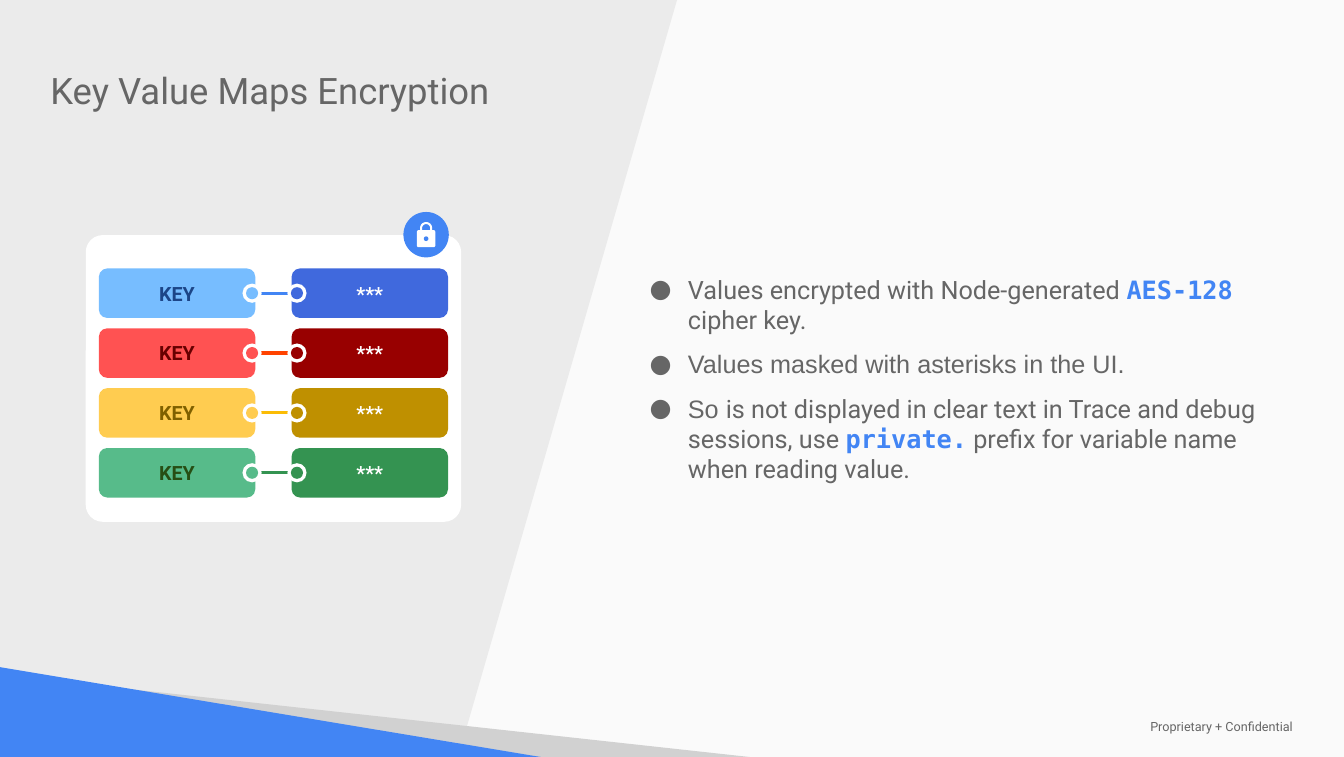
from dataclasses import dataclass
from math import cos, pi, sin
from typing import Any, NamedTuple

from lxml.etree import SubElement
from pptx import Presentation
from pptx.dml.color import RGBColor
from pptx.enum.shapes import MSO_CONNECTOR as Connector, MSO_SHAPE as Preset
from pptx.enum.text import MSO_ANCHOR as Anchor, PP_ALIGN as Align
from pptx.oxml.ns import qn
from pptx.util import Emu, Inches, Pt

COLUMNS, ROWS = 133.2, 75
CELL = Inches(0.1)

COLORS = {
    "paper": "FAFAFA", "panel": "EBEBEB", "shade": "D1D1D1", "accent": "4285F4",
    "text": "666666", "white": "FFFFFF",
    "sky": "77BDFF", "royal": "4069DD", "navy": "1C4587",
    "coral": "FF5252", "crimson": "980000", "maroon": "660000", "orange": "FF4300",
    "amber": "FFCC50", "ochre": "BF9000", "olive": "7F6000", "yellow": "FBBC05",
    "mint": "57BB8A", "green": "349351", "forest": "274E13",
}


class Box(NamedTuple):
    left: float
    top: float
    width: float
    height: float


class Span(NamedTuple):
    text: str
    size: float = 18
    font: str = "Roboto"
    color: str = "text"
    bold: bool = False


class Outline(NamedTuple):
    color: str
    points: list[tuple[float, float]]


@dataclass
class Pair:
    key_fill: str
    value_fill: str
    key_text: str
    link: str


BACKDROP = [
    Outline("panel", [(67.1, 0), (0, 0), (0, ROWS), (45.4, ROWS)]),
    Outline("shade", [(11.3, 68.1), (74.3, ROWS), (53.4, ROWS)]),
    Outline("accent", [(0, 66.1), (0, ROWS), (53.6, ROWS)]),
]
PAIRS = [
    Pair("sky", "royal", "navy", "accent"),
    Pair("coral", "crimson", "maroon", "orange"),
    Pair("amber", "ochre", "olive", "yellow"),
    Pair("mint", "green", "forest", "green"),
]
BULLETS = [
    [Span("Values encrypted with Node-generated "),
     Span("AES-128", 18, "DejaVu Sans Mono", "accent", True),
     Span(" cipher key.")],
    [Span("Values masked with asterisks in the UI.", font="Arial")],
    [Span("So ", font="Arial"),
     Span("is not displayed in clear text in Trace and debug sessions, use "),
     Span("private.", 18, "DejaVu Sans Mono", "accent", True),
     Span(" prefix for variable name when reading value.")],
]
KEY_LEFT, VALUE_LEFT, PAIR_TOP, PAIR_PITCH = 9.8, 28.9, 26.6, 5.93
PAIR_WIDTH, PAIR_HEIGHT = 15.5, 4.9
KEY_DOT, VALUE_DOT = 24.98, 29.43
RING, DOT = 1.9, 1.2


def cells(count: float) -> Emu:
    return Emu(round(count * CELL))


def rgb(name: str) -> RGBColor:
    return RGBColor.from_string(COLORS[name])


def apply(target: Any, values: dict[str, Any]) -> None:
    for name, value in values.items():
        setattr(target, name, value)


def paint(shape: Any, color: str) -> None:
    shape.shadow.inherit = False
    shape.fill.solid()
    shape.fill.fore_color.rgb = rgb(color)
    shape.line.fill.background()


def add_preset(page: Any, kind: Any, box: Box, color: str, corner: float | None = None) -> Any:
    shape = page.shapes.add_shape(kind, *map(cells, box))
    paint(shape, color)
    if corner is not None:
        shape.adjustments[0] = corner
    return shape


def add_outline(page: Any, outline: Outline) -> None:
    points = [(cells(x), cells(y)) for x, y in outline.points]
    builder = page.shapes.build_freeform(*points[0])
    builder.add_line_segments(points[1:], close=True)
    paint(builder.convert_to_shape(), outline.color)


def add_circle(page: Any, x: float, y: float, size: float, color: str) -> None:
    add_preset(page, Preset.OVAL, Box(x - size / 2, y - size / 2, size, size), color)


def fill_para(para: Any, spans: list[Span]) -> None:
    for span in spans:
        run = para.add_run()
        run.text = span.text
        apply(run.font, {"size": Pt(span.size), "name": span.font, "bold": span.bold})
        run.font.color.rgb = rgb(span.color)


def set_frame(frame: Any, anchor: Any, inset: float = 1) -> None:
    sides = ("left", "top", "right", "bottom")
    apply(frame, {"word_wrap": True, "vertical_anchor": anchor}
          | {f"margin_{side}": cells(inset) for side in sides})


def add_text(page: Any, box: Box, paras: list[list[Span]], anchor: Any, inset: float = 1) -> Any:
    frame = page.shapes.add_textbox(*map(cells, box)).text_frame
    set_frame(frame, anchor, inset)
    for index, spans in enumerate(paras):
        fill_para(frame.add_paragraph() if index else frame.paragraphs[0], spans)
    return frame


def add_bullets(page: Any) -> None:
    frame = add_text(page, Box(62.2, 25.7, 65.7, 23.7), BULLETS, Anchor.MIDDLE)
    for index, para in enumerate(frame.paragraphs):
        para.space_before = Pt(10 if index else 0)
        layout = para._p.get_or_add_pPr()
        for name, value in {"marL": cells(5), "indent": cells(-3.8)}.items():
            layout.set(name, str(value))
        SubElement(SubElement(layout, qn("a:buClr")), qn("a:srgbClr"), val=COLORS["text"])
        SubElement(layout, qn("a:buFont"), typeface="Roboto")
        SubElement(layout, qn("a:buChar"), char="●")


def add_label(page: Any, left: float, top: float, fill: str, span: Span) -> None:
    box = Box(left, top, PAIR_WIDTH, PAIR_HEIGHT)
    frame = add_preset(page, Preset.ROUNDED_RECTANGLE, box, fill, 0.167).text_frame
    set_frame(frame, Anchor.MIDDLE)
    frame.paragraphs[0].alignment = Align.CENTER
    fill_para(frame.paragraphs[0], [span])


def add_pair(page: Any, pair: Pair, top: float) -> None:
    middle = top + PAIR_HEIGHT / 2
    ends = (KEY_LEFT + PAIR_WIDTH, middle, VALUE_LEFT, middle)
    link = page.shapes.add_connector(Connector.STRAIGHT, *map(cells, ends))
    link.line.color.rgb = rgb(pair.link)
    link.line.width = Pt(2.25)
    SubElement(link._element.spPr, qn("a:effectLst"))
    add_label(page, VALUE_LEFT, top, pair.value_fill, Span("***", 14, color="white", bold=True))
    add_label(page, KEY_LEFT, top, pair.key_fill, Span("KEY", 14, color=pair.key_text, bold=True))
    for x, color in ((KEY_DOT, pair.key_fill), (VALUE_DOT, pair.value_fill)):
        add_circle(page, x, middle, RING, "white")
        add_circle(page, x, middle, DOT, color)


def add_lock(page: Any) -> None:
    x, y, steps = 42.23, 22.6, 16
    angles = [pi + pi * step / steps for step in range(steps + 1)]
    outer, inner = ([(x + radius * cos(angle), y + radius * sin(angle)) for angle in angles]
                    for radius in (0.6, 0.4))
    foot = y + 0.3
    shackle = [(x - 0.6, foot), *outer, (x + 0.6, foot),
               (x + 0.4, foot), *reversed(inner), (x - 0.4, foot)]
    add_circle(page, x, 23.25, 4.5, "accent")
    add_outline(page, Outline("white", shackle))
    add_preset(page, Preset.ROUNDED_RECTANGLE, Box(x - 0.92, 22.8, 1.84, 1.7), "white", 0.11)
    add_circle(page, x, 23.65, 0.46, "accent")


def main() -> None:
    deck = Presentation()
    apply(deck, {"slide_width": cells(COLUMNS), "slide_height": cells(ROWS)})
    page = deck.slides.add_slide(deck.slide_layouts[6])
    add_preset(page, Preset.RECTANGLE, Box(0, 0, COLUMNS, ROWS), "paper")
    for outline in BACKDROP:
        add_outline(page, outline)
    add_text(page, Box(112.7, 71.1, 19.9, 1.8),
             [[Span("Proprietary + Confidential", 9)]], Anchor.MIDDLE, 1.3)
    add_text(page, Box(4, 5.7, 72.3, 8.3), [[Span("Key Value Maps Encryption", 26)]], Anchor.TOP)
    add_bullets(page)
    add_preset(page, Preset.ROUNDED_RECTANGLE, Box(8.5, 23.3, 37.2, 28.4), "white", 0.059)
    for index, pair in enumerate(PAIRS):
        add_pair(page, pair, PAIR_TOP + index * PAIR_PITCH)
    add_lock(page)
    deck.save("out.pptx")


if __name__ == "__main__":
    main()
